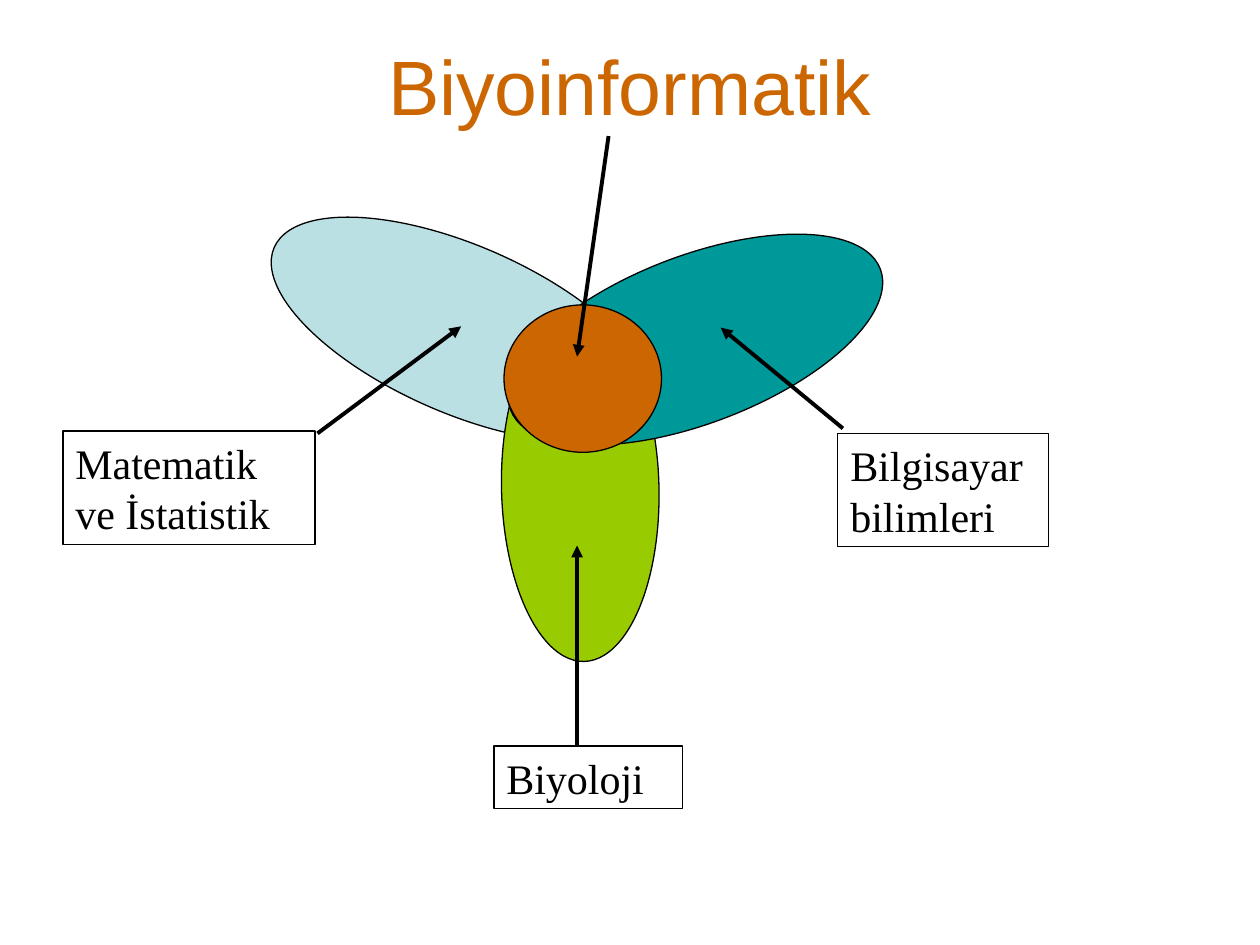
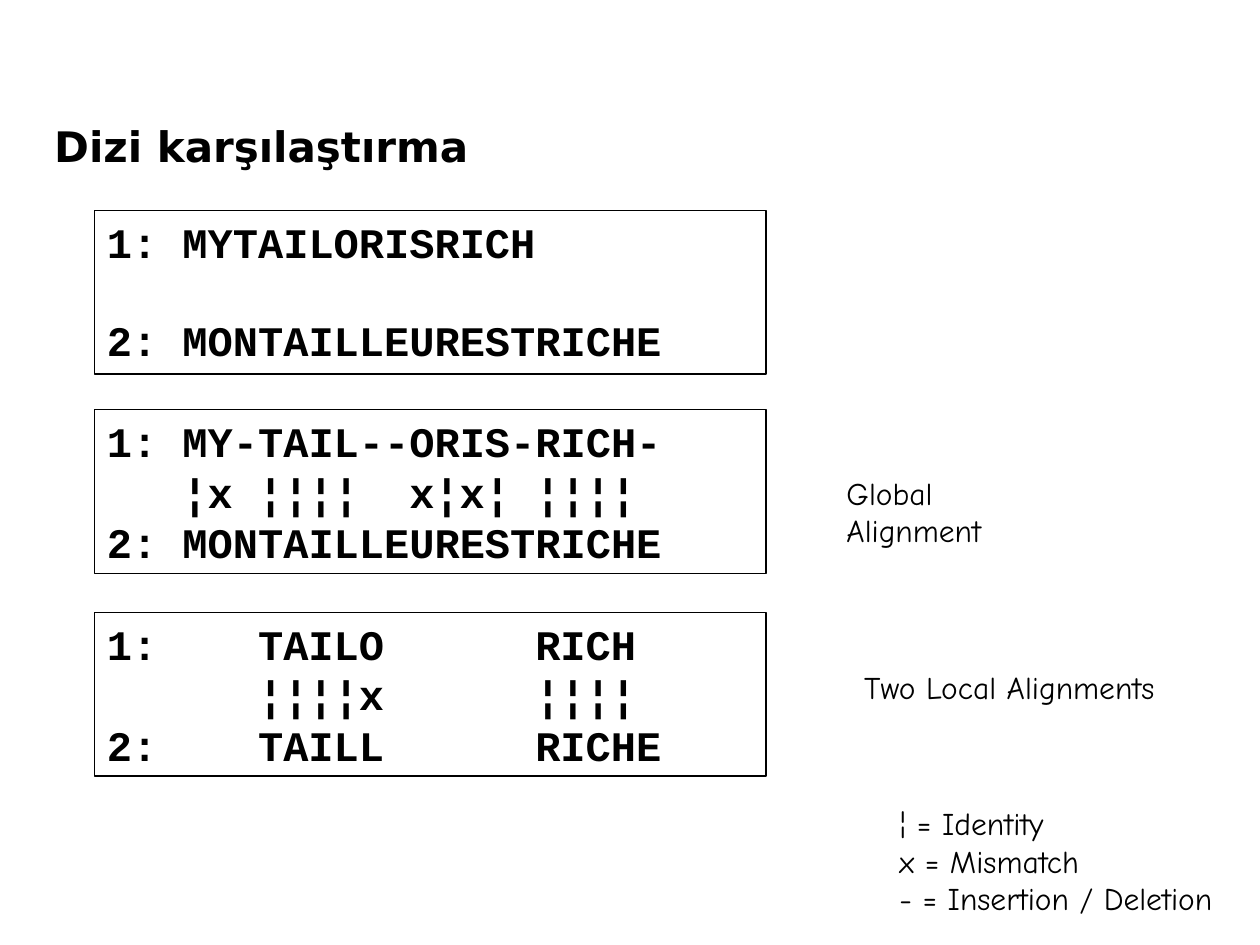
from dataclasses import dataclass

from lxml.etree import SubElement
from pptx import Presentation
from pptx.dml.color import RGBColor
from pptx.enum.shapes import MSO_CONNECTOR, MSO_SHAPE
from pptx.enum.text import MSO_ANCHOR, MSO_AUTO_SIZE, PP_ALIGN
from pptx.oxml.ns import qn
from pptx.util import Inches, Pt


@dataclass(frozen=True)
class Theme:
    """Colours, fonts and sizes shared by both slides."""

    ink: str = "000000"
    orange: str = "CC6600"
    pale_blue: str = "BBE0E3"
    green: str = "99CC00"
    teal: str = "009999"
    title_font: str = "Arial"
    heading_font: str = "DejaVu Sans"
    label_font: str = "Times New Roman"
    sequence_font: str = "Courier New"
    note_font: str = "Comic Neue"
    title_size: float = 44
    body_size: float = 24
    note_size: float = 18
    outline: float = 0.74
    arrow: float = 2.24
    column: float = 0.2


THEME = Theme()


def write_text(frame, lines, font, size, color=THEME.ink, bold=False, align=PP_ALIGN.LEFT,
               anchor=MSO_ANCHOR.TOP, wrap=True, fit=MSO_AUTO_SIZE.SHAPE_TO_FIT_TEXT,
               before=0, line_gap=0, spacing=None, tab_columns=()):
    """Fill a text frame with one paragraph per line in a single format."""
    frame.word_wrap = wrap
    frame.auto_size = fit
    frame.vertical_anchor = anchor
    for index, line in enumerate(lines):
        paragraph = frame.paragraphs[0] if index == 0 else frame.add_paragraph()
        paragraph.alignment = align
        paragraph.space_before = Pt(line_gap if index else before)
        if spacing:
            paragraph.line_spacing = spacing
        set_tabs(paragraph, tab_columns)
        run = paragraph.add_run()
        run.text = line
        run.font.name = font
        run.font.size = Pt(size)
        run.font.bold = bold
        run.font.color.rgb = RGBColor.from_string(color)


def set_tabs(paragraph, columns):
    """Put left tab stops at the given character columns."""
    if columns:
        stops = SubElement(paragraph._p.get_or_add_pPr(), qn("a:tabLst"))
        for column in columns:
            position = str(Inches(column * THEME.column))
            SubElement(stops, qn("a:tab"), pos=position, algn="l")


def add_title(slide, text, place, **text_format):
    """Move the title placeholder and write the title in it."""
    title = slide.shapes.title
    title.left, title.top, title.width, title.height = map(Inches, place)
    write_text(title.text_frame, [text], fit=MSO_AUTO_SIZE.NONE, **text_format)


def add_outlined(slide, kind, place, fill=None, rotation=0):
    """Add a thinly outlined preset shape, filled or clear."""
    shape = slide.shapes.add_shape(kind, *map(Inches, place))
    shape.shadow.inherit = False
    shape.rotation = rotation
    shape.line.color.rgb = RGBColor.from_string(THEME.ink)
    shape.line.width = Pt(THEME.outline)
    if fill:
        shape.fill.solid()
        shape.fill.fore_color.rgb = RGBColor.from_string(fill)
    else:
        shape.fill.background()
    return shape


def add_box(slide, lines, place, **text_format):
    """Add an outlined box with text."""
    box = add_outlined(slide, MSO_SHAPE.RECTANGLE, place)
    write_text(box.text_frame, lines, size=THEME.body_size, **text_format)


def add_note(slide, lines, place):
    """Add a plain side note."""
    note = slide.shapes.add_textbox(*map(Inches, place))
    write_text(note.text_frame, lines, THEME.note_font, THEME.note_size, wrap=False)


def add_arrow(slide, start, end):
    """Add a straight arrow pointing at its end."""
    arrow = slide.shapes.add_connector(MSO_CONNECTOR.STRAIGHT, *map(Inches, start + end))
    arrow.line.color.rgb = RGBColor.from_string(THEME.ink)
    arrow.line.width = Pt(THEME.arrow)
    SubElement(arrow.line._get_or_add_ln(), qn("a:tailEnd"), type="triangle")
    SubElement(arrow._element.spPr, qn("a:effectLst"))


def build_fields(slide):
    """Show bioinformatics as the overlap of three fields."""
    add_title(slide, "Biyoinformatik", (0.75, 0.17, 8.5, 1), font=THEME.title_font,
              size=THEME.title_size, color=THEME.orange, align=PP_ALIGN.CENTER,
              anchor=MSO_ANCHOR.MIDDLE)
    petals = [
        ((2.04, 1.95, 3.25, 1.33), THEME.pale_blue, 23.6),
        ((3.23, 3.25, 2.75, 1.25), THEME.green, 88.7),
        ((3.95, 2.03, 3.14, 1.33), THEME.teal, 339.1),
        ((4, 2.42, 1.25, 1.17), THEME.orange, 0),
    ]
    for place, fill, rotation in petals:
        add_outlined(slide, MSO_SHAPE.OVAL, place, fill, rotation)
    fields = [
        ("Matematik ve İstatistik", (0.5, 3.42, 2, 0.9)),
        ("Biyoloji", (3.92, 5.92, 1.5, 0.5)),
        ("Bilgisayar bilimleri", (6.65, 3.44, 1.67, 0.9)),
    ]
    for field, place in fields:
        add_box(slide, [field], place, font=THEME.label_font, before=15)
    arrows = [
        ((4.58, 5.92), (4.58, 4.33)),
        ((2.52, 3.44), (3.66, 2.59)),
        ((6.69, 3.4), (5.72, 2.6)),
        ((4.83, 1.08), (4.58, 2.83)),
    ]
    for start, end in arrows:
        add_arrow(slide, start, end)


def build_alignments(slide):
    """Compare two sequences by global and local alignment."""
    add_title(slide, "Dizi karşılaştırma", (0.33, 0.83, 7.97, 0.58),
              font=THEME.heading_font, size=THEME.body_size, bold=True, spacing=1.2)
    second = "2: MONTAILLEURESTRICHE"
    blocks = [
        (1.67, ["1: MYTAILORISRICH", second], (), 27.2),
        (3.25, ["1: MY-TAIL--ORIS-RICH-", "\t¦x ¦¦¦¦\tx¦x¦ ¦¦¦¦", second], (3, 12), 0),
        (4.86, ["1:\tTAILO\tRICH", "\t¦¦¦¦x\t¦¦¦¦", "2:\tTAILL\tRICHE"], (6, 17), 0),
    ]
    for top, lines, columns, line_gap in blocks:
        add_box(slide, lines, (0.75, top, 5.33, 1.3), font=THEME.sequence_font,
                bold=True, tab_columns=columns, line_gap=line_gap)
    add_note(slide, ["Global Alignment"], (6.62, 3.71, 2.03, 0.4))
    add_note(slide, ["Two Local Alignments"], (6.76, 5.25, 2.51, 0.4))
    legend = ["¦ = Identity", "x = Mismatch", "- = Insertion / Deletion"]
    add_note(slide, legend, (7.04, 6.33, 2.68, 1))


def main():
    """Build and save the presentation."""
    deck = Presentation()
    deck.slide_width, deck.slide_height = Inches(10), Inches(7.5)
    title_only = deck.slide_layouts[5]
    for build in (build_fields, build_alignments):
        build(deck.slides.add_slide(title_only))
    deck.save("out.pptx")


main()
